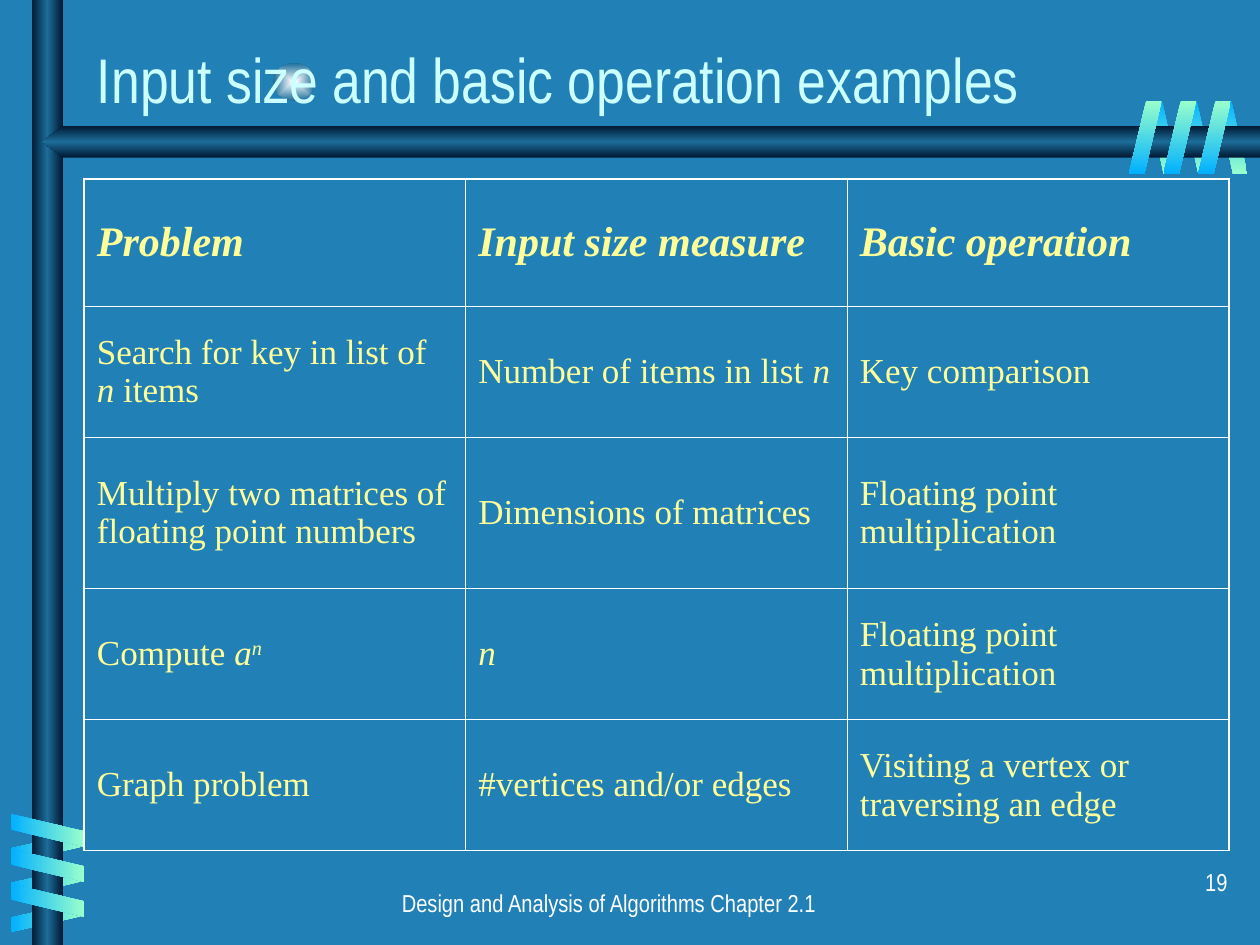
import typing

import lxml.etree
import pptx
import pptx.dml.color
import pptx.enum.shapes
import pptx.enum.text
import pptx.oxml.ns
import pptx.util

Pt = pptx.util.Pt
qn = pptx.oxml.ns.qn
SHAPE = pptx.enum.shapes.MSO_SHAPE
ALIGN = pptx.enum.text.PP_ALIGN
ANCHOR = pptx.enum.text.MSO_ANCHOR

BLUE, MINT, NAVY, TEAL = "01B0FF", "99FFCC", "001932", "1C6D9A"
WHITE, CREAM = "FFFFFF", "FFFF99"
BAR = [(0, NAVY), (50, TEAL), (100, NAVY)]
COOL = [(0, BLUE), (100, MINT)]
WARM = [(0, MINT), (100, BLUE)]


class Coil(typing.NamedTuple):
    """Three equal slanted bands, a fixed step apart."""
    left: float
    top: float
    width: float
    height: float
    across: float
    down: float
    turn: int
    flip: bool
    stops: list
    angle: int


class Part(typing.NamedTuple):
    text: str
    slant: bool = False
    raised: bool = False


def paint(color: str) -> pptx.dml.color.RGBColor:
    return pptx.dml.color.RGBColor.from_string(color)


def add(parent, tag: str, **attrs):
    return lxml.etree.SubElement(parent, qn(tag), attrs)


def shade(shape, stops: list, angle: typing.Optional[int]) -> None:
    """Fill with a gradient; without an angle it spreads from the centre."""
    shape.shadow.inherit = False
    shape.line.fill.background()
    shape.fill.gradient()
    grad = shape._element.spPr.find(qn("a:gradFill"))
    for child in list(grad):
        grad.remove(child)
    grad.set("rotWithShape", "0")
    group = add(grad, "a:gsLst")
    for pos, color in stops:
        stop = add(group, "a:gs", pos=str(pos * 1000))
        add(stop, "a:srgbClr", val=color)
    if angle is None:
        mode = add(grad, "a:path", path="rect")
        add(mode, "a:fillToRect", l="50000", t="50000", r="50000", b="50000")
    else:
        add(grad, "a:lin", ang=str(angle * 60000), scaled="0")


def block(slide, kind, box: tuple, stops: list, angle: typing.Optional[int]):
    shape = slide.shapes.add_shape(kind, *map(Pt, box))
    shade(shape, stops, angle)
    return shape


def draw_coil(slide, coil: Coil) -> None:
    for i in range(3):
        box = (coil.left + i * coil.across, coil.top + i * coil.down,
               coil.width, coil.height)
        band = block(slide, SHAPE.PARALLELOGRAM, box, coil.stops, coil.angle)
        band.adjustments[0] = 0.53
        band.rotation = coil.turn
        if coil.flip:
            band._element.spPr.xfrm.set("flipH", "1")


def write(para, part: Part, face: str, size: float, color: str,
          bold: bool = False) -> None:
    run = para.add_run()
    run.text = part.text
    font = run.font
    font.name, font.size, font.bold = face, Pt(size), bold
    font.italic = part.slant
    font.color.rgb = paint(color)
    if part.raised:
        run._r.get_or_add_rPr().set("baseline", "30000")


def label(slide, box: tuple, text: str, align) -> None:
    frame = slide.shapes.add_textbox(*map(Pt, box)).text_frame
    frame.word_wrap = True
    para = frame.paragraphs[0]
    para.alignment = align
    write(para, Part(text), "Arial Narrow", 14, WHITE)


def edge(cell, sides: dict) -> None:
    """Set cell borders; the value tells whether a side is on the rim."""
    props = cell._tc.get_or_add_tcPr()
    for side, rim in sides.items():
        line = add(props, "a:ln" + side, w=str(Pt(1.08 if rim else 0.45)))
        add(add(line, "a:solidFill"), "a:srgbClr", val=WHITE)
    cell.fill.background()


def draw_grid(slide, rows: list, heights: list) -> None:
    cols = len(rows[0])
    wide = 218
    frame = slide.shapes.add_table(len(rows), cols, Pt(48.2), Pt(102.2),
                                   Pt(wide * cols), Pt(sum(heights)))
    table = frame.table
    table.first_row = table.horz_banding = False
    for col in table.columns:
        col.width = Pt(wide)
    for r, row in enumerate(rows):
        table.rows[r].height = Pt(heights[r])
        head = r == 0
        for c, parts in enumerate(row):
            cell = table.cell(r, c)
            edge(cell, {"L": c == 0, "R": c == cols - 1,
                        "T": head, "B": r == len(rows) - 1})
            cell.vertical_anchor = ANCHOR.MIDDLE
            for part in parts:
                write(cell.text_frame.paragraphs[0], part, "Times New Roman",
                      24 if head else 20, CREAM, head)


def main() -> None:
    deck = pptx.Presentation()
    deck.slide_width, deck.slide_height = Pt(720), Pt(540)
    slide = deck.slides.add_slide(deck.slide_layouts[5])
    slide.background.fill.solid()
    slide.background.fill.fore_color.rgb = paint("2181B7")

    # Glow and back halves of the coils
    block(slide, SHAPE.OVAL, (156.2, 36, 23.8, 21.6),
          [(0, "FEFFFF"), (100, TEAL)], None)
    draw_coil(slide, Coil(695.5, 57.6, 17.3, 41.8, -19.8, 0, 180, True, COOL, 90))
    draw_coil(slide, Coil(18.2, 463.7, 17.3, 41, 0, 19.8, 90, True, WARM, 0))

    # Crossing bars
    block(slide, SHAPE.RECTANGLE, (18, 0, 18, 540), BAR, 0)
    pen = slide.shapes.build_freeform(Pt(720), Pt(72))
    pen.add_line_segments([(Pt(x), Pt(y)) for x, y in
                           [(36, 72), (24, 81), (36, 90), (720, 90)]])
    shade(pen.convert_to_shape(), BAR, 90)

    # Front halves of the coils
    draw_coil(slide, Coil(17.8, 453.6, 18.7, 41.8, 0, 20, 270, False, COOL, 0))
    draw_coil(slide, Coil(684.7, 57.6, 18.7, 41.8, -19.8, 0, 0, False, WARM, 90))

    # Footer and page number
    label(slide, (96, 504, 504, 36),
          "Design and Analysis of Algorithms Chapter 2.1", ALIGN.CENTER)
    label(slide, (558.7, 491.8, 149.8, 36), "19", ALIGN.RIGHT)

    # Title, brought in front of the bars
    title = slide.shapes.title
    title.left, title.top, title.width, title.height = map(
        Pt, (48.2, 15.8, 671.8, 54))
    frame = title.text_frame
    frame.auto_size = pptx.enum.text.MSO_AUTO_SIZE.NONE
    frame.vertical_anchor = ANCHOR.BOTTOM
    para = frame.paragraphs[0]
    para.alignment = ALIGN.LEFT
    write(para, Part("Input size and basic operation examples"),
          "Arial Narrow", 36, "CCFFFF")
    slide.shapes._spTree.append(title._element)

    # Table
    n = Part("n", True)
    float_op = [Part("Floating point multiplication")]
    rows = [
        [[Part(text, True)] for text in
         ("Problem", "Input size measure", "Basic operation")],
        [[Part("Search for key in list of "), n, Part(" items")],
         [Part("Number of items in list "), n], [Part("Key comparison")]],
        [[Part("Multiply two matrices of floating point numbers")],
         [Part("Dimensions of matrices")], float_op],
        [[Part("Compute "), Part("a", True), Part("n", True, True)],
         [n], float_op],
        [[Part("Graph problem")], [Part("#vertices and/or edges")],
         [Part("Visiting a vertex or traversing an edge")]],
    ]
    draw_grid(slide, rows, [72.7, 74.9, 86.4, 74.9, 74.9])

    deck.save("out.pptx")


if __name__ == "__main__":
    main()
